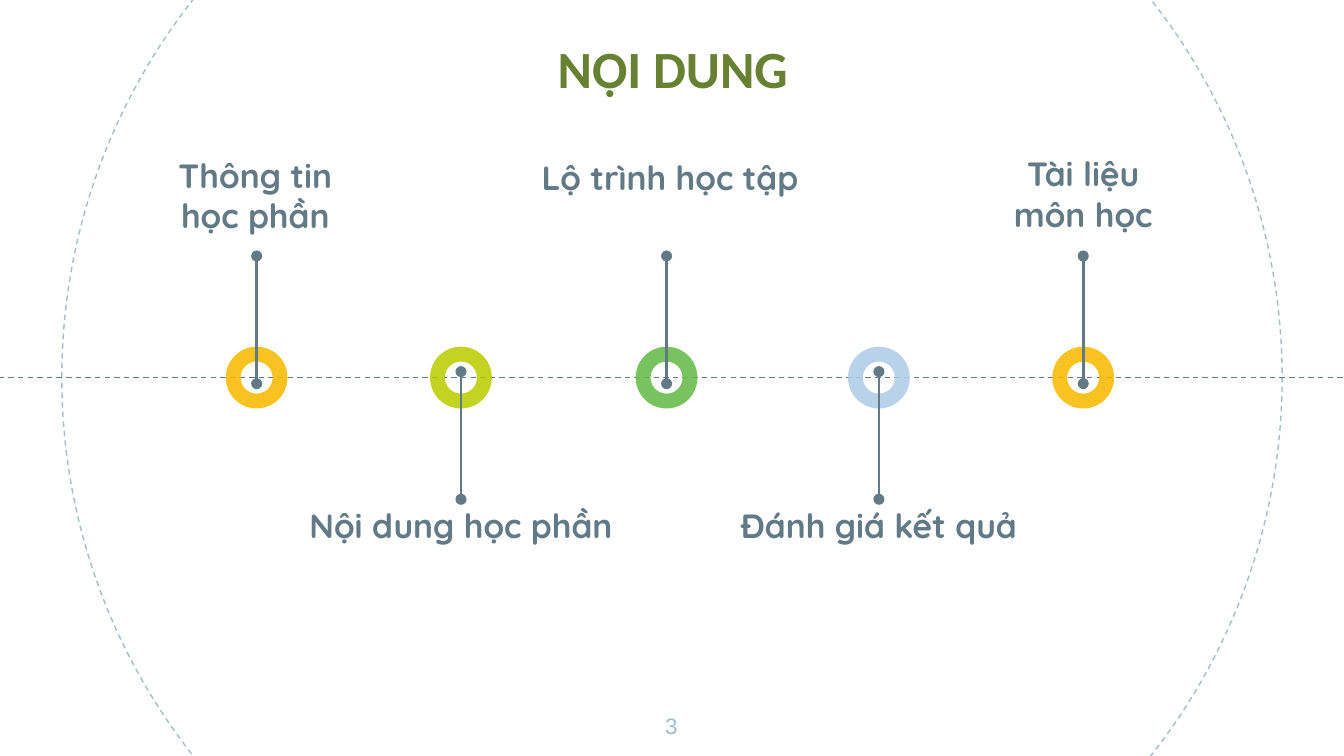
from dataclasses import dataclass

from lxml import etree
from pptx import Presentation
from pptx.dml.color import RGBColor
from pptx.enum.dml import MSO_LINE
from pptx.enum.shapes import MSO_CONNECTOR, MSO_SHAPE
from pptx.enum.text import MSO_ANCHOR, MSO_AUTO_SIZE, PP_ALIGN
from pptx.oxml.ns import qn
from pptx.util import Inches, Pt

DASH = MSO_LINE.DASH
LINE = MSO_CONNECTOR.STRAIGHT
OVAL, DONUT = MSO_SHAPE.OVAL, MSO_SHAPE.DONUT
TOP, BOTTOM = MSO_ANCHOR.TOP, MSO_ANCHOR.BOTTOM
NO_FIT = MSO_AUTO_SIZE.NONE
CENTER = PP_ALIGN.CENTER

COLS, ROWS = 100, 56.25
AXIS = 28.1
RING = 4.6
STEM = 9.5
COLORS = {
    "olive": "688031",
    "slate": "617A86",
    "mist": "A1BECC",
    "gold": "F8BB00",
    "lime": "BBCD00",
    "green": "65BB48",
    "sky": "AECDE6",
}


@dataclass
class Box:
    left: float
    top: float
    wide: float
    tall: float


@dataclass
class Stop:
    mid: float
    color: str
    text: str
    top: float
    wide: float
    tall: float
    up: bool = True
    shift: float = 0


STOPS = [
    Stop(19.1, "gold", "Thông tin học phần", 10.5, 13.6, 6.9, shift=-0.1),
    Stop(34.3, "lime", "Nội dung học phần", 36.6, 32.9, 4.5, up=False),
    Stop(49.6, "green", "Lộ trình học tập", 10.7, 26.5, 6.1, shift=0.25),
    Stop(65.4, "sky", "Đánh giá kết quả", 36.6, 27.7, 4.5, up=False),
    Stop(80.6, "gold", "Tài liệu môn học", 10.4, 13.6, 6.9),
]


def cell(count: float) -> int:
    return Inches(count / 10)


def place(box: Box) -> tuple:
    return tuple(cell(n) for n in (box.left, box.top, box.wide, box.tall))


def tint(name: str) -> RGBColor:
    return RGBColor.from_string(COLORS[name])


def write(shape, text: str, *, size: float, font: str, color: str,
          bold: bool = False, anchor=TOP) -> None:
    frame = shape.text_frame
    frame.word_wrap = True
    frame.auto_size = NO_FIT
    frame.vertical_anchor = anchor
    frame.margin_left = frame.margin_right = cell(1)
    frame.margin_top = frame.margin_bottom = cell(1)
    para = frame.paragraphs[0]
    para.alignment = CENTER
    run = para.add_run()
    run.text = text
    run.font.size = Pt(size)
    run.font.name = font
    run.font.bold = bold
    run.font.color.rgb = tint(color)


def label(slide, box: Box, text: str, **style) -> None:
    write(slide.shapes.add_textbox(*place(box)), text, **style)


def stroke(line, color: str, width: float, dash=None) -> None:
    line.color.rgb = tint(color)
    line.width = Pt(width)
    if dash:
        line.dash_style = dash


def rule(slide, start: tuple, end: tuple, width: float,
         dash=None, dots: bool = False) -> None:
    link = slide.shapes.add_connector(LINE, *map(cell, start + end))
    stroke(link.line, "slate", width, dash)
    props = link._element.spPr
    if dots:
        for tag in ("a:headEnd", "a:tailEnd"):
            etree.SubElement(props.find(qn("a:ln")), qn(tag), type="oval")
    etree.SubElement(props, qn("a:effectLst"))


def orbit(slide, box: Box) -> None:
    shape = slide.shapes.add_shape(OVAL, *place(box))
    shape.shadow.inherit = False
    shape.fill.background()
    stroke(shape.line, "mist", 0.75, DASH)


def ring(slide, stop: Stop) -> None:
    box = Box(stop.mid - RING / 2, AXIS - RING / 2, RING, RING)
    shape = slide.shapes.add_shape(DONUT, *place(box))
    shape.adjustments[0] = 0.24
    shape.shadow.inherit = False
    shape.line.fill.background()
    shape.fill.solid()
    shape.fill.fore_color.rgb = tint(stop.color)
    tone = shape._element.spPr.find(qn("a:solidFill"))[0]
    etree.SubElement(tone, qn("a:alpha"), val="87000")


def draw(slide, stop: Stop) -> None:
    ring(slide, stop)
    sign = -1 if stop.up else 1
    root = AXIS - sign * 0.45
    rule(slide, (stop.mid, root), (stop.mid, root + sign * STEM), 1.5, dots=True)
    left = stop.mid + stop.shift - stop.wide / 2
    label(slide, Box(left, stop.top, stop.wide, stop.tall), stop.text,
          size=18, font="Quicksand", color="slate", bold=True)


def main() -> None:
    deck = Presentation()
    deck.slide_width, deck.slide_height = cell(COLS), cell(ROWS)
    slide = deck.slides.add_slide(deck.slide_layouts[5])
    orbit(slide, Box(4.6, -17.3, 90.8, 90.8))
    rule(slide, (-0.1, AXIS), (COLS + 0.1, AXIS), 0.75, DASH)
    title = slide.shapes.title
    title.left, title.top, title.width, title.height = place(Box(21.2, 1.4, 57.7, 7))
    write(title, "NỘI DUNG", size=28, font="Calibri", color="olive",
          bold=True, anchor=BOTTOM)
    for stop in STOPS:
        draw(slide, stop)
    label(slide, Box(47.4, 52, 5.1, 4.3), "3", size=12, font="Arial", color="mist")
    deck.save("out.pptx")


if __name__ == "__main__":
    main()
